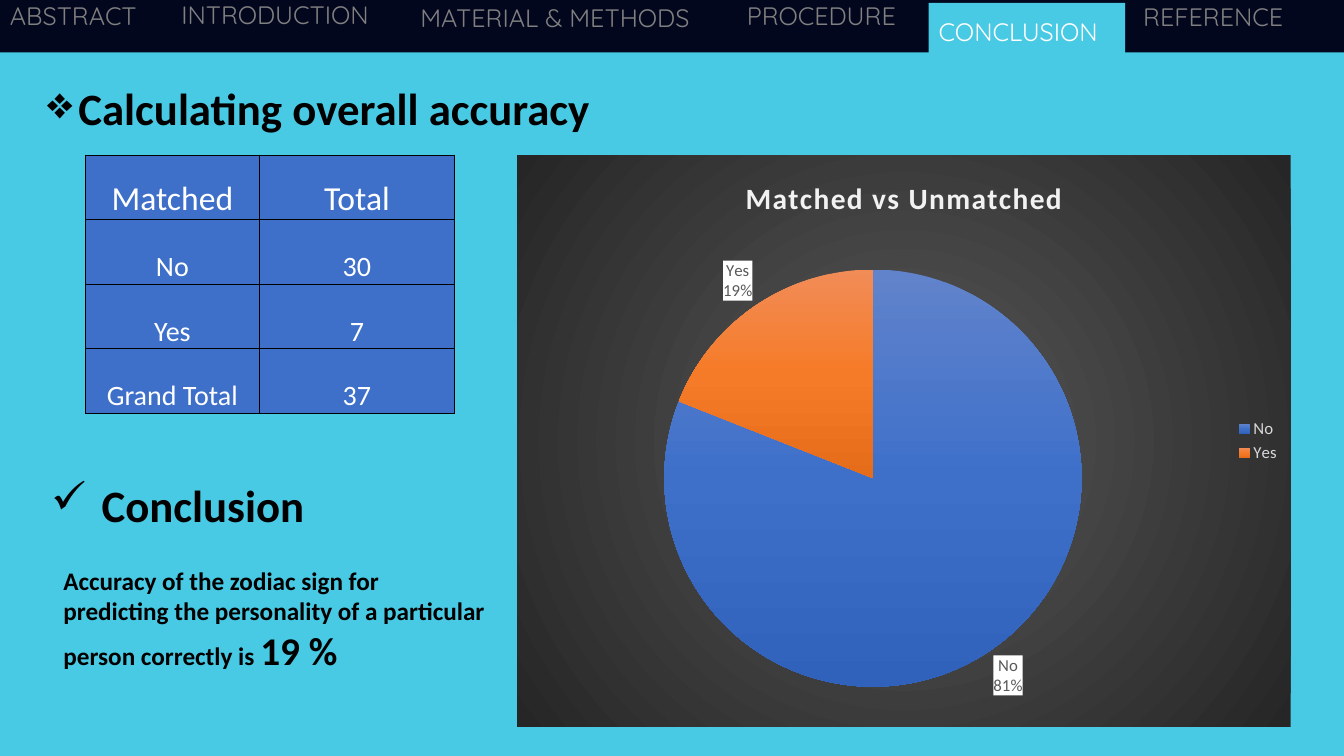
from pptx import Presentation
from pptx.chart.data import CategoryChartData
from pptx.dml.color import RGBColor
from pptx.enum.chart import XL_CHART_TYPE, XL_LABEL_POSITION, XL_LEGEND_POSITION
from pptx.enum.shapes import MSO_SHAPE
from pptx.enum.text import MSO_ANCHOR, MSO_AUTO_SIZE, PP_ALIGN
from pptx.oxml import parse_xml
from pptx.oxml.ns import nsdecls, qn
from pptx.util import Inches, Pt

WIDTH, HEIGHT = 13.33, 7.5
SKY, NAVY, BLUE = "48CAE4", "03071E", "3E70CA"
BLACK, WHITE, GREY = "000000", "FFFFFF", "808080"
LINEAR = '<a:lin ang="5400000" scaled="0"/>'
RADIAL = ('<a:path path="circle"><a:fillToRect l="50000" t="50000" '
          'r="50000" b="50000"/></a:path>')


def color(code):
    return RGBColor.from_string(code)


def style(font, size, code, bold=False, name="Calibri"):
    font.name, font.size, font.bold = name, Pt(size), bold
    font.color.rgb = color(code)


def gradient(shape_kind, *codes):
    step = 100000 // (len(codes) - 1)
    stops = "".join(f'<a:gs pos="{index * step}"><a:srgbClr val="{code}"/></a:gs>'
                    for index, code in enumerate(codes))
    return parse_xml(f'<a:gradFill {nsdecls("a")} rotWithShape="1">'
                     f'<a:gsLst>{stops}</a:gsLst>{shape_kind}</a:gradFill>')


def add_block(slide, box, code):
    block = slide.shapes.add_shape(MSO_SHAPE.RECTANGLE, *map(Inches, box))
    block.shadow.inherit = False
    block.fill.solid()
    block.fill.fore_color.rgb = color(code)
    block.line.fill.background()


def add_text(slide, box, spans, code=BLACK, bold=True, name="Calibri"):
    frame = slide.shapes.add_textbox(*map(Inches, box)).text_frame
    frame.word_wrap = True
    frame.auto_size = MSO_AUTO_SIZE.SHAPE_TO_FIT_TEXT
    para = frame.paragraphs[0]
    for text, size in spans:
        span = para.add_run()
        span.text = text
        style(span.font, size, code, bold, name)
    return para


def add_heading(slide, box, text, bullet, indent):
    para = add_text(slide, box, [(text, 32)])
    properties = para._p.get_or_add_pPr()
    properties.set("marL", str(Inches(indent)))
    properties.set("indent", str(-Inches(indent)))
    properties.append(parse_xml(f'<a:buChar {nsdecls("a")} char="{bullet}"/>'))


def add_navigation(slide, box, tabs, current):
    left, top, width, height = box
    add_block(slide, box, NAVY)
    for text, offset, drop, tab_width in tabs:
        active = text == current
        if active:
            add_block(slide, (left + offset, top + 0.05, tab_width, height), SKY)
        add_text(slide, (left + offset, top + drop, tab_width, 0.4), [(text, 18)],
                 WHITE if active else GREY, False, "Quicksand")


def add_totals(slide, box, rows, shares):
    left, top, width, height = map(Inches, box)
    frame = slide.shapes.add_table(len(rows), len(shares), left, top, width, height)
    table = frame.table
    for column, share in zip(table.columns, shares):
        column.width = int(width * share)
    for row_index, row in enumerate(rows):
        table.rows[row_index].height = height // len(rows)
        for column_index, text in enumerate(row):
            cell = table.cell(row_index, column_index)
            cell.margin_left = cell.margin_right = cell.margin_top = Inches(0.01)
            cell.margin_bottom = 0
            cell.vertical_anchor = MSO_ANCHOR.BOTTOM
            for side in "LRTB":
                cell._tc.get_or_add_tcPr().append(parse_xml(
                    f'<a:ln{side} {nsdecls("a")} w="{Pt(1)}"><a:solidFill>'
                    f'<a:srgbClr val="{BLACK}"/></a:solidFill></a:ln{side}>'))
            cell.fill.solid()
            cell.fill.fore_color.rgb = color(BLUE)
            para = cell.text_frame.paragraphs[0]
            para.alignment = PP_ALIGN.CENTER
            span = para.add_run()
            span.text = text
            style(span.font, 20 if row_index else 24, WHITE)


def style_labels(series):
    labels = series.data_labels
    labels.show_value = False
    labels.show_category_name = labels.show_percentage = True
    labels.position = XL_LABEL_POSITION.OUTSIDE_END
    style(labels.font, 12, "595959")
    element = labels._element
    element.find(qn("c:txPr")).addprevious(parse_xml(
        f'<c:spPr {nsdecls("c", "a")}><a:solidFill><a:srgbClr val="{WHITE}"/>'
        '</a:solidFill></c:spPr>'))
    element.find(qn("c:showBubbleSize")).addnext(parse_xml(
        f'<c:separator {nsdecls("c")}>\n</c:separator>'))


def add_pie(slide, box, title, slices):
    data = CategoryChartData()
    data.categories = [name for name, value, codes in slices]
    data.add_series("Series 1", [value for name, value, codes in slices])
    chart = slide.shapes.add_chart(XL_CHART_TYPE.PIE, *map(Inches, box), data).chart
    style(chart.font, 10, BLACK)

    # Title and legend
    span = chart.chart_title.text_frame.paragraphs[0].add_run()
    span.text = title
    style(span.font, 21, "F2F2F2", True)
    span.font._element.set("spc", "100")
    chart.has_legend = True
    chart.legend.position = XL_LEGEND_POSITION.RIGHT
    chart.legend.include_in_layout = False
    style(chart.legend.font, 12, "D9D9D9")

    # Slices
    chart.plots[0].vary_by_categories = True
    series = chart.plots[0].series[0]
    for index, (name, value, codes) in enumerate(slices):
        series.points[index].format.line.fill.background()
        holder = series._element.xpath("c:dPt/c:spPr")[index]
        holder.insert(0, gradient(LINEAR, *codes))
    style_labels(series)

    # Backdrop and plot position
    space = chart._chartSpace
    backdrop = parse_xml(f'<c:spPr {nsdecls("c", "a")}><a:ln><a:noFill/></a:ln></c:spPr>')
    backdrop.insert(0, gradient(RADIAL, "595959", "262626"))
    space.find(qn("c:chart")).addnext(backdrop)
    area = space.find(qn("c:chart")).find(qn("c:plotArea"))
    for layout in area.findall(qn("c:layout")):
        area.remove(layout)
    shares = "".join(f'<c:{key} val="{share}"/>' for key, share in
                     (("x", 0.19), ("y", 0.2), ("w", 0.54), ("h", 0.73)))
    area.insert(0, parse_xml(
        f'<c:layout {nsdecls("c")}><c:manualLayout><c:layoutTarget val="inner"/>'
        f'<c:xMode val="edge"/><c:yMode val="edge"/>{shares}'
        '</c:manualLayout></c:layout>'))


def build_conclusion(deck):
    slide = deck.slides.add_slide(deck.slide_layouts[6])
    add_block(slide, (0, -0.02, WIDTH, HEIGHT + 0.03), SKY)

    # Navigation bar: text, offset, drop, width
    tabs = [("ABSTRACT", 0, -0.03, 1.62), ("INTRODUCTION", 1.7, -0.04, 2.29),
            ("MATERIAL & METHODS", 4.07, -0.01, 3.17), ("PROCEDURE", 7.31, -0.03, 1.83),
            ("CONCLUSION", 9.21, 0.13, 1.95), ("REFERENCE", 11.24, -0.02, 1.93)]
    add_navigation(slide, (0, -0.02, WIDTH, 0.54), tabs, "CONCLUSION")

    # Accuracy figures
    add_heading(slide, (0.37, 0.75, 6.63, 0.64), "Calculating overall accuracy", "❖", 0.31)
    rows = [("Matched", "Total"), ("No", "30"), ("Yes", "7"), ("Grand Total", "37")]
    add_totals(slide, (0.85, 1.54, 3.66, 2.56), rows, (0.47, 0.53))
    add_pie(slide, (5.13, 1.54, 7.67, 5.67), "Matched vs Unmatched",
            [("No", 81, ("6183CB", BLUE, "3062BB")),
             ("Yes", 19, ("F18C57", "F67B28", "E56C19"))])

    # Closing statement
    add_text(slide, (0.53, 5.56, 4.42, 1.18),
             [("Accuracy of the zodiac sign for predicting the personality "
               "of a particular person correctly is ", 18), ("19 %", 28)])
    add_heading(slide, (0.41, 4.69, 3.66, 0.64), "Conclusion", "✓", 0.5)


def main():
    deck = Presentation()
    deck.slide_width, deck.slide_height = Inches(WIDTH), Inches(HEIGHT)
    build_conclusion(deck)
    deck.save("out.pptx")


if __name__ == "__main__":
    main()
